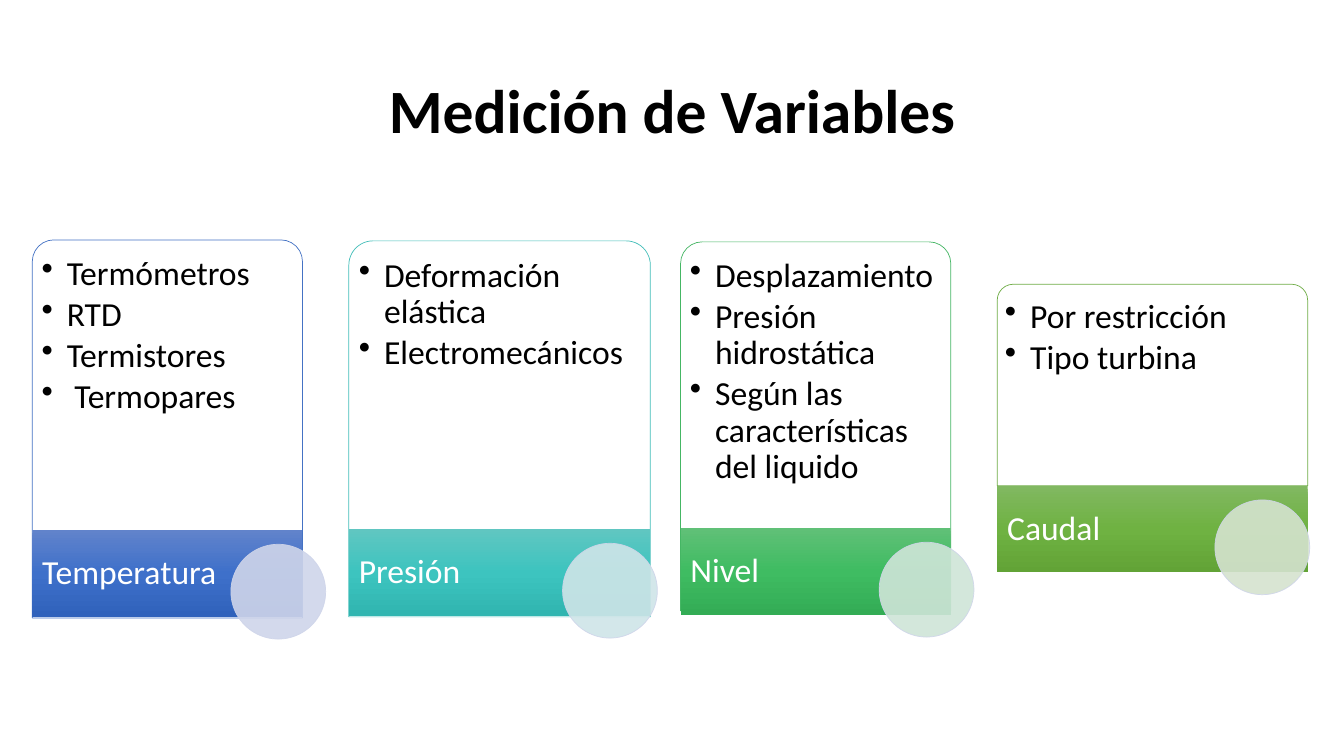
"""Build a slide of four cards listing how process variables are measured."""
import copy
from dataclasses import dataclass

import pptx
import pptx.dml.color
import pptx.enum.shapes
import pptx.enum.text
import pptx.oxml
import pptx.oxml.ns
import pptx.util
from pptx.util import Inches, Pt

TITLE = "Medición de Variables"
CARDS = [
    {"name": "Temperatura", "items": ["Termómetros", "RTD", "Termistores", " Termopares"],
     "left": 0.32, "top": 2.38, "width": 2.68, "height": 3.75, "bar_top": 5.26, "dot_left": 2.29,
     "line": "4472C4", "shades": ["6183CB", "3E70CA", "3062BB"], "dot": "CFD5EA"},
    {"name": "Presión", "items": ["Deformación elástica", "Electromecánicos"],
     "left": 3.46, "top": 2.39, "width": 2.99, "height": 3.73, "bar_top": 5.25, "dot_left": 5.58,
     "line": "43BEB9", "shades": ["60C6C1", "3DC4BF", "30B5B0"], "dot": "CFE5E8"},
    {"name": "Nivel", "items": ["Desplazamiento", "Presión hidrostática",
                                "Según las características del liquido"],
     "left": 6.75, "top": 2.4, "width": 2.68, "height": 3.66, "bar_top": 5.24, "dot_left": 8.72,
     "line": "45B664", "shades": ["60C077", "3FBC62", "33AC55"], "dot": "CFE5D8"},
    {"name": "Caudal", "items": ["Por restricción", "Tipo turbina"],
     "left": 9.89, "top": 2.82, "width": 3.08, "height": 2, "bar_top": 4.82, "dot_left": 12.05,
     "line": "70AD47", "shades": ["81B861", "6FB242", "62A336"], "dot": "D5E3CF"},
]
BAR_HEIGHT, DOT_SIZE, DOT_DROP = 0.86, 0.94, 0.14
SHAPE = pptx.enum.shapes.MSO_SHAPE
ALIGN = pptx.enum.text.PP_ALIGN
ANCHOR = pptx.enum.text.MSO_ANCHOR


@dataclass(frozen=True)
class Theme:
    font: str = "Calibri"
    title_size: int = 44
    text_size: int = 24
    dark: str = "000000"
    light: str = "FFFFFF"
    dot_line: str = "CFD5EA"
    line_width: float = 0.5
    opacity: int = 90
    line_spacing: float = 0.9
    item_gap: float = 3.5


THEME = Theme()


def rgb(color):
    return pptx.dml.color.RGBColor.from_string(color)


def add_shape(page, kind, left, top, width, height, line=None):
    shape = page.shapes.add_shape(kind, *map(Inches, (left, top, width, height)))
    shape.shadow.inherit = False
    if line:
        shape.line.color.rgb = rgb(line)
        shape.line.width = Pt(THEME.line_width)
    else:
        shape.line.fill.background()
    return shape


def add_alpha(fill_parent):
    color = fill_parent.find(".//" + pptx.oxml.ns.qn("a:srgbClr"))
    alpha = pptx.oxml.parse_xml(f'<a:alpha {pptx.oxml.ns.nsdecls("a")} val="{THEME.opacity * 1000}"/>')
    color.append(alpha)


def fill_solid(shape, color):
    shape.fill.solid()
    shape.fill.fore_color.rgb = rgb(color)
    add_alpha(shape.element.spPr.find(pptx.oxml.ns.qn("a:solidFill")))


def fill_gradient(shape, shades):
    shape.fill.gradient()
    shape.fill.gradient_angle = 270
    stops = shape.element.spPr.find(".//" + pptx.oxml.ns.qn("a:gsLst"))
    stops.insert(1, copy.deepcopy(stops[0]))
    for index, (stop, shade) in enumerate(zip(shape.fill.gradient_stops, shades)):
        stop.color.rgb = rgb(shade)
        stop.position = index / (len(shades) - 1)


def write(shape, lines, color, size, insets, anchor, align=ALIGN.LEFT, bold=False):
    frame = shape.text_frame
    frame.word_wrap = True
    frame.vertical_anchor = anchor
    frame.margin_left, frame.margin_top, frame.margin_right, frame.margin_bottom = map(Inches, insets)
    frame.text = "\n".join(lines)
    for para in frame.paragraphs:
        para.alignment = align
        para.line_spacing = THEME.line_spacing
        font = para.runs[0].font
        font.name, font.size, font.bold = THEME.font, Pt(size), bold
        font.color.rgb = rgb(color)


def add_bullets(shape):
    for para in shape.text_frame.paragraphs:
        para.space_after = Pt(THEME.item_gap)
        properties = para._p.get_or_add_pPr()
        properties.set("marL", str(Inches(0.25)))
        properties.set("indent", str(-Inches(0.25)))
        properties.append(pptx.oxml.parse_xml(f'<a:buChar {pptx.oxml.ns.nsdecls("a")} char="•"/>'))


def add_card(page, card):
    left, width, bar_top = card["left"], card["width"], card["bar_top"]
    panel = add_shape(page, SHAPE.ROUND_2_SAME_RECTANGLE, left, card["top"], width, card["height"], card["line"])
    panel.adjustments[0], panel.adjustments[1] = 0.08, 0
    fill_solid(panel, THEME.light)
    write(panel, card["items"], THEME.dark, THEME.text_size, (0.03, 0.1, 0.03, 0.03), ANCHOR.TOP)
    add_bullets(panel)

    bar = add_shape(page, SHAPE.RECTANGLE, left, bar_top, width, BAR_HEIGHT)
    fill_gradient(bar, card["shades"])
    write(bar, [card["name"]], THEME.light, THEME.text_size, (0.1, 0, 0.03, 0), ANCHOR.MIDDLE)

    dot = add_shape(page, SHAPE.OVAL, card["dot_left"], bar_top + DOT_DROP, DOT_SIZE, DOT_SIZE, THEME.dot_line)
    fill_solid(dot, card["dot"])
    add_alpha(dot.line._ln)


def main():
    deck = pptx.Presentation()
    deck.slide_width, deck.slide_height = Inches(13.33), Inches(7.5)
    page = deck.slides.add_slide(deck.slide_layouts[6])
    title = page.shapes.add_textbox(*map(Inches, (0.92, 0.4, 11.5, 1.45)))
    write(title, [TITLE], THEME.dark, THEME.title_size, (0.1, 0.05, 0.1, 0.05), ANCHOR.MIDDLE, ALIGN.CENTER, True)
    for card in CARDS:
        add_card(page, card)
    deck.save("out.pptx")


if __name__ == "__main__":
    main()
